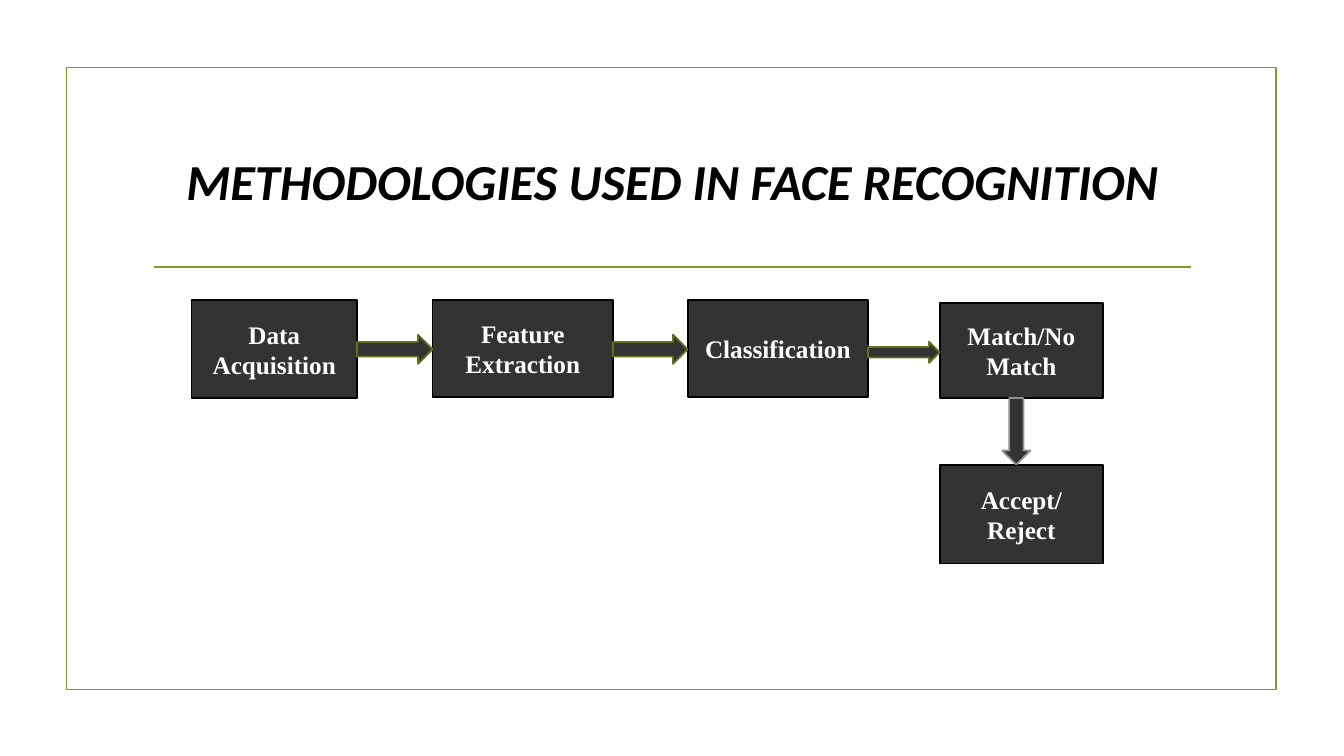
from pptx import Presentation
from pptx.dml.color import RGBColor
from pptx.enum.shapes import MSO_CONNECTOR, MSO_SHAPE
from pptx.enum.text import MSO_ANCHOR, PP_ALIGN
from pptx.oxml.ns import qn
from pptx.util import Inches, Pt
from lxml.etree import SubElement

COLORS = {"olive": "83992A", "moss": "61711F", "gray": "909090",
          "dark": "333333", "black": "000000", "white": "FFFFFF"}


def paint(name):
    """Return the named colour."""
    return RGBColor.from_string(COLORS[name])


def write(frame, text, font="Times New Roman", size=18, color="white", italic=False):
    """Put centred bold text in a frame."""
    frame.word_wrap = True
    frame.vertical_anchor = MSO_ANCHOR.MIDDLE
    para = frame.paragraphs[0]
    para.alignment = PP_ALIGN.CENTER
    run = para.add_run()
    run.text = text
    run.font.name, run.font.size = font, Pt(size)
    run.font.bold, run.font.italic = True, italic
    run.font.color.rgb = paint(color)


def draw(slide, kind, box, line, fill="dark"):
    """Add a preset shape with a thin outline."""
    shape = slide.shapes.add_shape(kind, *map(Inches, box))
    shape.shadow.inherit = False
    if fill:
        shape.fill.solid()
        shape.fill.fore_color.rgb = paint(fill)
    else:
        shape.fill.background()
    shape.line.color.rgb = paint(line)
    shape.line.width = Pt(1.25)
    return shape


def add_frame(slide, box):
    """Draw the border and the rule under the title."""
    left, top, width, height = box
    draw(slide, MSO_SHAPE.RECTANGLE, box, "olive", None)
    start, end, level = left + 0.87, left + width - 0.85, top + 1.98
    rule = slide.shapes.add_connector(
        MSO_CONNECTOR.STRAIGHT, *map(Inches, (start, level, end, level)))
    rule.line.color.rgb = paint("olive")
    rule.line.width = Pt(1.25)
    SubElement(rule._element.spPr, qn("a:effectLst"))


def add_title(slide, box):
    """Write the slide title."""
    area = slide.shapes.add_textbox(*map(Inches, box))
    write(area.text_frame, "METHODOLOGIES USED IN FACE RECOGNITION",
          font="Calibri", size=36, color="black", italic=True)


def add_flow(slide, box):
    """Draw the steps and the arrows that join them."""
    left, top, width, height = box
    last = left + width - 1.62
    steps = [
        ("Data Acquisition", (left, top, 1.64, 0.97)),
        ("Feature Extraction", (left + 2.39, top, 1.79, 0.96)),
        ("Classification", (left + 4.92, top, 1.79, 0.96)),
        ("Match/No Match", (last, top + 0.03, 1.62, 0.94)),
        ("Accept/ Reject", (last, top + height - 0.98, 1.62, 0.98)),
    ]
    for text, place in steps:
        write(draw(slide, MSO_SHAPE.RECTANGLE, place, "black").text_frame, text)
    places = [place for text, place in steps]
    sizes = [(0.34, 0.29), (0.34, 0.29), (0.41, 0.21)]
    for now, after, (drop, thick) in zip(places, places[1:], sizes):
        start = now[0] + now[2]
        draw(slide, MSO_SHAPE.RIGHT_ARROW,
             (start, top + drop, after[0] - start, thick), "moss")
    above, below = places[-2:]
    base = above[1] + above[3]
    draw(slide, MSO_SHAPE.DOWN_ARROW,
         (last + 0.62, base, 0.28, below[1] - base), "gray")


def main():
    """Build and save the slide."""
    deck = Presentation()
    deck.slide_width, deck.slide_height = Inches(13.33), Inches(7.5)
    slide = deck.slides.add_slide(deck.slide_layouts[6])
    add_frame(slide, (0.66, 0.67, 12, 6.17))
    add_title(slide, (1.42, 1.07, 10.5, 1.43))
    add_flow(slide, (1.9, 2.98, 9.04, 2.61))
    deck.save("out.pptx")


if __name__ == "__main__":
    main()
